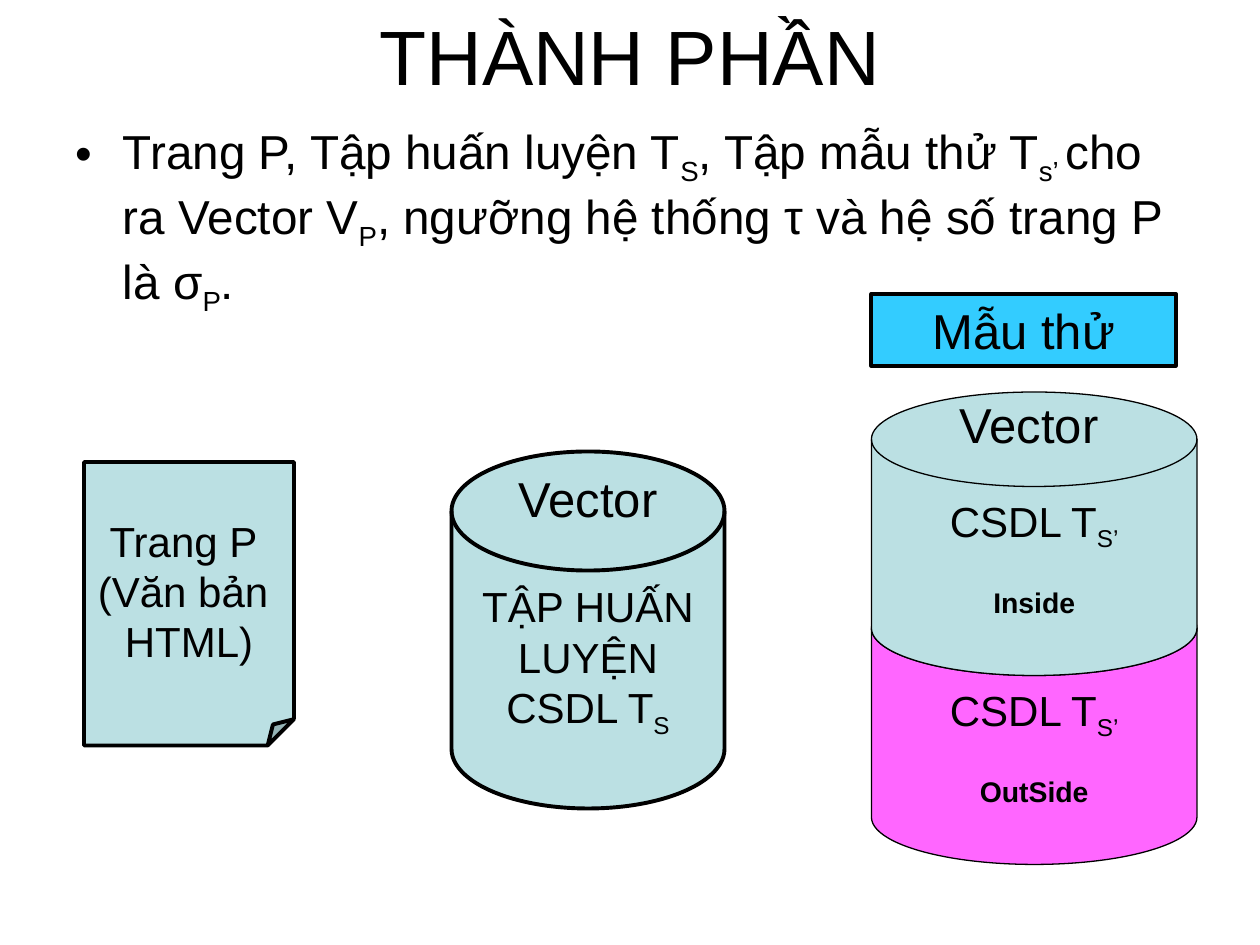
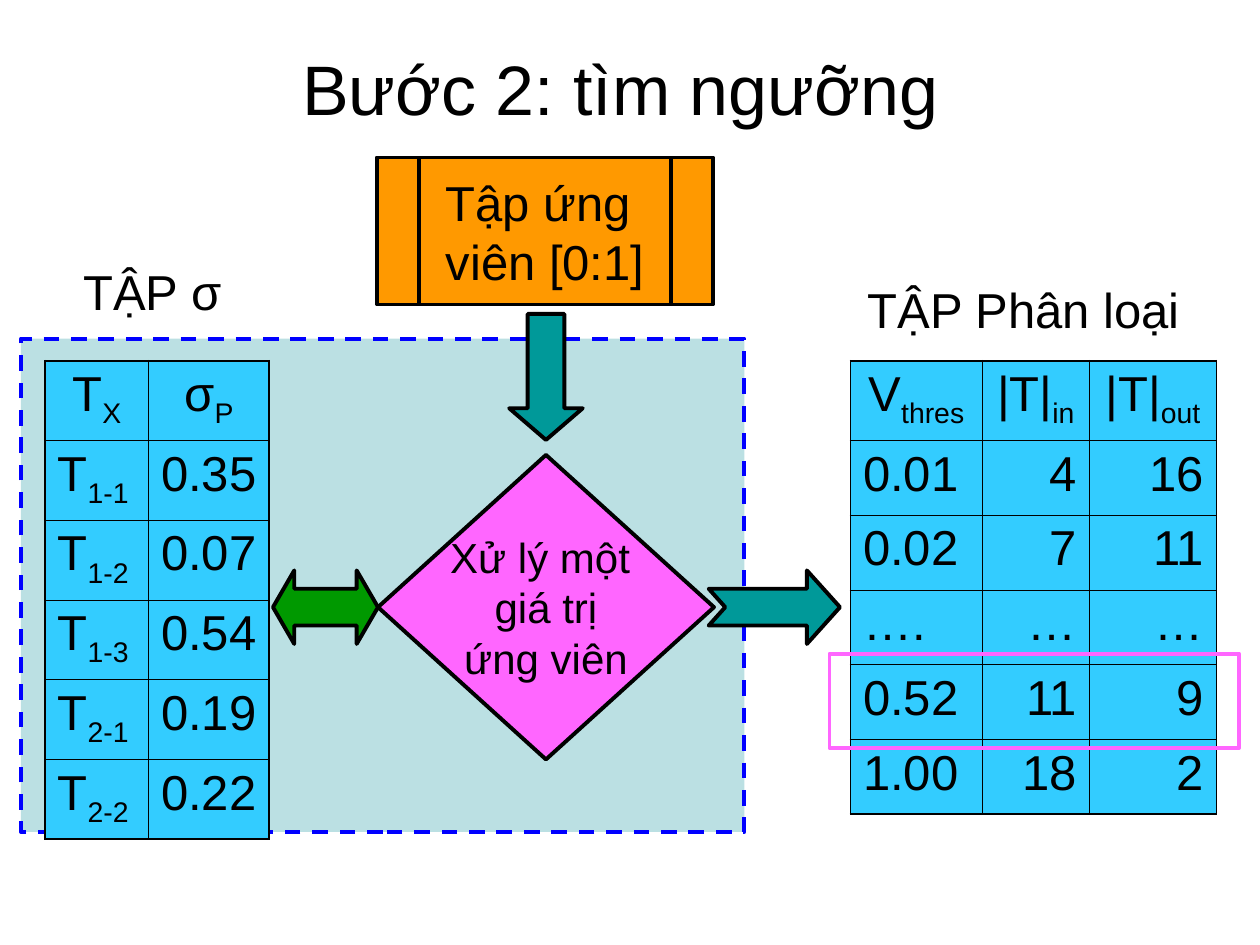
"""Builds two slides on page classification: its components and the threshold search."""
from dataclasses import dataclass

from lxml import etree
from pptx import Presentation
from pptx import util as u
from pptx.dml.color import RGBColor
from pptx.enum import dml, shapes, text
from pptx.oxml.ns import qn


@dataclass(frozen=True)
class Theme:
    """Colours, type sizes and line widths shared by the slides."""
    font: str = "Arial"
    ink: str = "000000"
    pale: str = "BBE0E3"
    sky: str = "33CCFF"
    pink: str = "FF66FF"
    orange: str = "FF9900"
    teal: str = "009999"
    green: str = "009900"
    blue: str = "0000FF"
    body: float = 27.2
    label: float = 28
    caption: float = 24
    thick: float = 2.25
    thin: float = 0.75
    outer_border: float = 1.08
    inner_border: float = 0.45


THEME = Theme()
GRID_COLUMNS, GRID_ROWS = 120, 90
WIDTH, HEIGHT = u.Inches(10), u.Inches(7.5)
LABEL_HEIGHT = 6.84
SHAPE = shapes.MSO_SHAPE
LEFT, CENTER, RIGHT = text.PP_ALIGN.LEFT, text.PP_ALIGN.CENTER, text.PP_ALIGN.RIGHT

COMPONENTS = {
    "title": ("THÀNH PHẦN", (6, 0, 108, 10.44), 44),
    "body": ("Trang P, Tập huấn luyện T~S~, Tập mẫu thử T~s’ ~cho ra Vector V~P~, "
             "ngưỡng hệ thống τ và hệ số trang P là σ~P~.", (6, 11, 108, 21)),
    "shapes": [
        dict(kind=SHAPE.FOLDED_CORNER, box=(8, 44, 20, 27), fill=THEME.pale,
             adjustments=[0.125], lines=["Trang P ", "(Văn bản ", "HTML)"]),
        dict(kind=SHAPE.FLOWCHART_MAGNETIC_DISK, box=(43, 43, 26, 34), fill=THEME.pale,
             lines=["TẬP HUẤN", "LUYỆN", "CSDL T~S~"]),
    ],
    "stack": {"box": (83, 37.33, 31, 27), "step": 18,
              "parts": [("Inside", THEME.pale), ("OutSide", THEME.pink)]},
    "sample": ("Mẫu thử", (83, 28, 29)),
    "labels": [("Vector", (88.5, 37, 19)), ("Vector", (48, 44, 16))],
}

THRESHOLD = {
    "title": ("Bước 2: tìm ngưỡng ", (6, 3.6, 108, 9.4), 40),
    "frame": dict(kind=SHAPE.RECTANGLE, box=(2, 32.25, 68.9, 47), fill=THEME.pale,
                  line=THEME.blue, dash=dml.MSO_LINE.DASH),
    "labels": [("TẬP σ", (6, 24.33, 17)), ("TẬP Phân loại", (79, 26, 37))],
    "tables": [
        dict(corner=(4.3, 34.35), columns=[9.85, 11.5], header_row=7.6, row=7.6,
             alignments=[LEFT, LEFT],
             rows=[("T~X~", "σ~P~"), ("T~1-1~", "0.35"), ("T~1-2~", "0.07"),
                   ("T~1-3~", "0.54"), ("T~2-1~", "0.19"), ("T~2-2~", "0.22")]),
        dict(corner=(81, 34.35), columns=[12.55, 10.2, 12.1], header_row=7.6, row=7.12,
             alignments=[LEFT, RIGHT, RIGHT],
             rows=[("V~thres~", "|T|~in~", "|T|~out~"), ("0.01", "4", "16"),
                   ("0.02", "7", "11"), ("….", "…", "…"),
                   ("0.52", "11", "9"), ("1.00", "18", "2")]),
    ],
    "shapes": [
        dict(kind=SHAPE.RECTANGLE, box=(79, 62.25, 39, 9), line=THEME.pink),
        dict(kind=SHAPE.FLOWCHART_DECISION, box=(36, 43.33, 32, 29), fill=THEME.pink,
             lines=["Xử lý một ", "giá trị", "ứng viên"]),
        dict(kind=SHAPE.FLOWCHART_PREDEFINED_PROCESS, box=(35.9, 15, 32, 14),
             fill=THEME.orange, lines=["Tập ứng ", "viên [0:1]"], size=THEME.label),
        dict(kind=SHAPE.DOWN_ARROW, box=(48.5, 29.9, 7, 12), fill=THEME.teal,
             adjustments=[0.5, 0.43]),
        dict(kind=SHAPE.NOTCHED_RIGHT_ARROW, box=(67.5, 54.33, 12.5, 7), fill=THEME.teal,
             adjustments=[0.5, 0.45]),
        dict(kind=SHAPE.LEFT_RIGHT_ARROW, box=(26, 54.33, 10, 7), fill=THEME.green,
             adjustments=[0.5, 0.29]),
    ],
}


def across(columns):
    return round(WIDTH * columns / GRID_COLUMNS)


def down(rows):
    return round(HEIGHT * rows / GRID_ROWS)


def place(box):
    left, top, width, height = box
    return across(left), down(top), across(width), down(height)


def write(frame, lines, size=THEME.caption, align=CENTER, anchor=text.MSO_ANCHOR.MIDDLE,
          wrap=True, before=0):
    """Fill a frame with strings or (string, size, bold); tildes enclose subscripts."""
    frame.word_wrap = wrap
    frame.auto_size = text.MSO_AUTO_SIZE.NONE
    frame.vertical_anchor = anchor
    for index, line in enumerate(lines):
        content, line_size, bold = (line, size, False) if isinstance(line, str) else line
        paragraph = frame.add_paragraph() if index else frame.paragraphs[0]
        paragraph.alignment = align
        paragraph.space_before = u.Pt(before)
        for position, piece in enumerate(content.split("~")):
            if not piece:
                continue
            run = paragraph.add_run()
            run.text = piece
            run.font.name, run.font.size, run.font.bold = THEME.font, u.Pt(line_size), bold
            run.font.color.rgb = RGBColor.from_string(THEME.ink)
            if position % 2:
                run.font._element.set("baseline", "-25000")


def adjust(shape, values):
    """Write a preset's adjustments, including those the library does not list."""
    guides = shape._element.spPr.find(qn("a:prstGeom")).get_or_add_avLst()
    for guide in list(guides):
        guides.remove(guide)
    for number, value in enumerate(values, start=1):
        name = f"adj{number}" if len(values) > 1 else "adj"
        etree.SubElement(guides, qn("a:gd"), name=name, fmla=f"val {round(value * 100000)}")


def add_shape(slide, kind, box, fill=None, line=THEME.ink, width=THEME.thick, dash=None,
              adjustments=(), lines=(), wrap=False, **text_format):
    shape = slide.shapes.add_shape(kind, *place(box))
    shape.shadow.inherit = False
    if adjustments:
        adjust(shape, adjustments)
    if fill:
        shape.fill.solid()
        shape.fill.fore_color.rgb = RGBColor.from_string(fill)
    else:
        shape.fill.background()
    shape.line.color.rgb = RGBColor.from_string(line)
    shape.line.width = u.Pt(width)
    if dash:
        shape.line.dash_style = dash
    if lines:
        write(shape.text_frame, lines, wrap=wrap, **text_format)


def add_label(slide, content, box):
    label = slide.shapes.add_textbox(*place((*box, LABEL_HEIGHT)))
    write(label.text_frame, [content], size=THEME.label, anchor=text.MSO_ANCHOR.TOP,
          before=17.5)


def set_borders(cell, outer_sides):
    """Draw the four cell borders, heavier on the table's outer sides."""
    properties = cell._tc.get_or_add_tcPr()
    for side in "LRTB":
        width = THEME.outer_border if side in outer_sides else THEME.inner_border
        border = etree.SubElement(properties, qn(f"a:ln{side}"), w=str(int(u.Pt(width))))
        fill = etree.SubElement(border, qn("a:solidFill"))
        etree.SubElement(fill, qn("a:srgbClr"), val=THEME.ink)


def add_table(slide, corner, columns, header_row, row, alignments, rows):
    heights = [header_row] + [row] * (len(rows) - 1)
    box = (*corner, sum(columns), sum(heights))
    table = slide.shapes.add_table(len(rows), len(columns), *place(box)).table
    table.first_row = table.horz_banding = False
    for column, width in zip(table.columns, columns):
        column.width = across(width)
    for r, values in enumerate(rows):
        table.rows[r].height = down(heights[r])
        for c, value in enumerate(values):
            cell = table.cell(r, c)
            edges = {"L": c == 0, "R": c == len(columns) - 1,
                     "T": r == 0, "B": r == len(rows) - 1}
            set_borders(cell, [side for side, outer in edges.items() if outer])
            cell.fill.solid()
            cell.fill.fore_color.rgb = RGBColor.from_string(THEME.sky)
            write(cell.text_frame, [value], size=THEME.label, before=7,
                  align=alignments[c] if r else CENTER, anchor=text.MSO_ANCHOR.TOP)


def add_slide(presentation, layout_name, title):
    slide = presentation.slides.add_slide(
        presentation.slide_layouts.get_by_name(layout_name))
    content, box, size = title
    holder = slide.shapes.title
    holder.left, holder.top, holder.width, holder.height = place(box)
    write(holder.text_frame, [content], size=size)
    return slide


def build_components(presentation):
    slide = add_slide(presentation, "Title and Content", COMPONENTS["title"])
    content, box = COMPONENTS["body"]
    body = slide.placeholders[1]
    body.left, body.top, body.width, body.height = place(box)
    write(body.text_frame, [content], size=THEME.body, align=LEFT,
          anchor=text.MSO_ANCHOR.TOP, before=8)
    for options in COMPONENTS["shapes"]:
        add_shape(slide, **options)
    stack = COMPONENTS["stack"]
    left, top, width, height = stack["box"]
    for level, (name, fill) in reversed(list(enumerate(stack["parts"]))):
        add_shape(slide, SHAPE.FLOWCHART_MAGNETIC_DISK,
                  (left, top + level * stack["step"], width, height), fill=fill,
                  width=THEME.thin, lines=["CSDL T~S’~", (f"~{name}~", THEME.label, True)])
    content, box = COMPONENTS["sample"]
    add_shape(slide, SHAPE.RECTANGLE, (*box, LABEL_HEIGHT), fill=THEME.sky, lines=[content],
              size=THEME.label, wrap=True, anchor=text.MSO_ANCHOR.TOP, before=17.5)
    for content, box in COMPONENTS["labels"]:
        add_label(slide, content, box)


def build_threshold(presentation):
    slide = add_slide(presentation, "Title Only", THRESHOLD["title"])
    add_shape(slide, **THRESHOLD["frame"])
    for options in THRESHOLD["tables"]:
        add_table(slide, **options)
    for content, box in THRESHOLD["labels"]:
        add_label(slide, content, box)
    for options in THRESHOLD["shapes"]:
        add_shape(slide, **options)


def main():
    presentation = Presentation()
    presentation.slide_width, presentation.slide_height = WIDTH, HEIGHT
    build_components(presentation)
    build_threshold(presentation)
    presentation.save("out.pptx")


if __name__ == "__main__":
    main()
